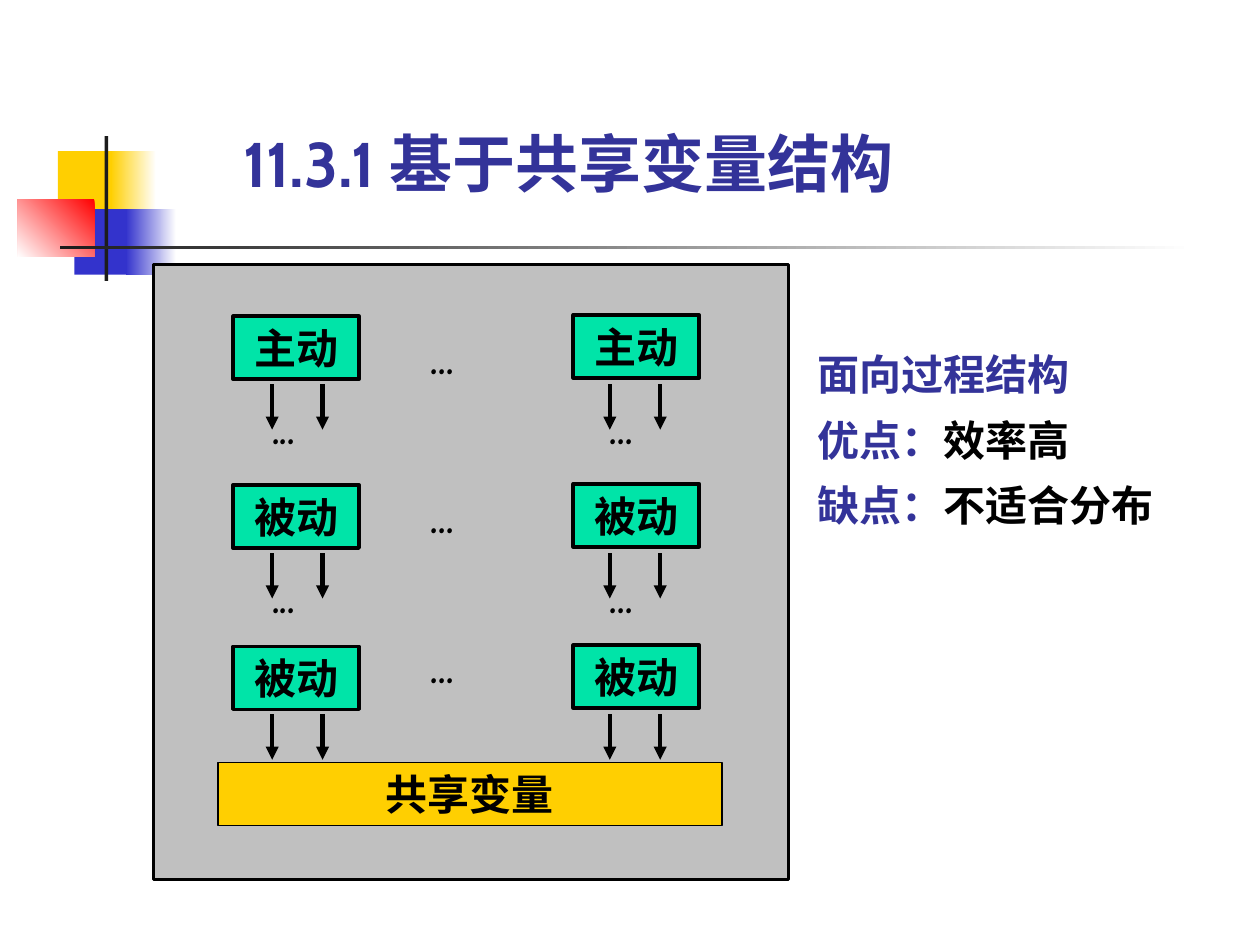
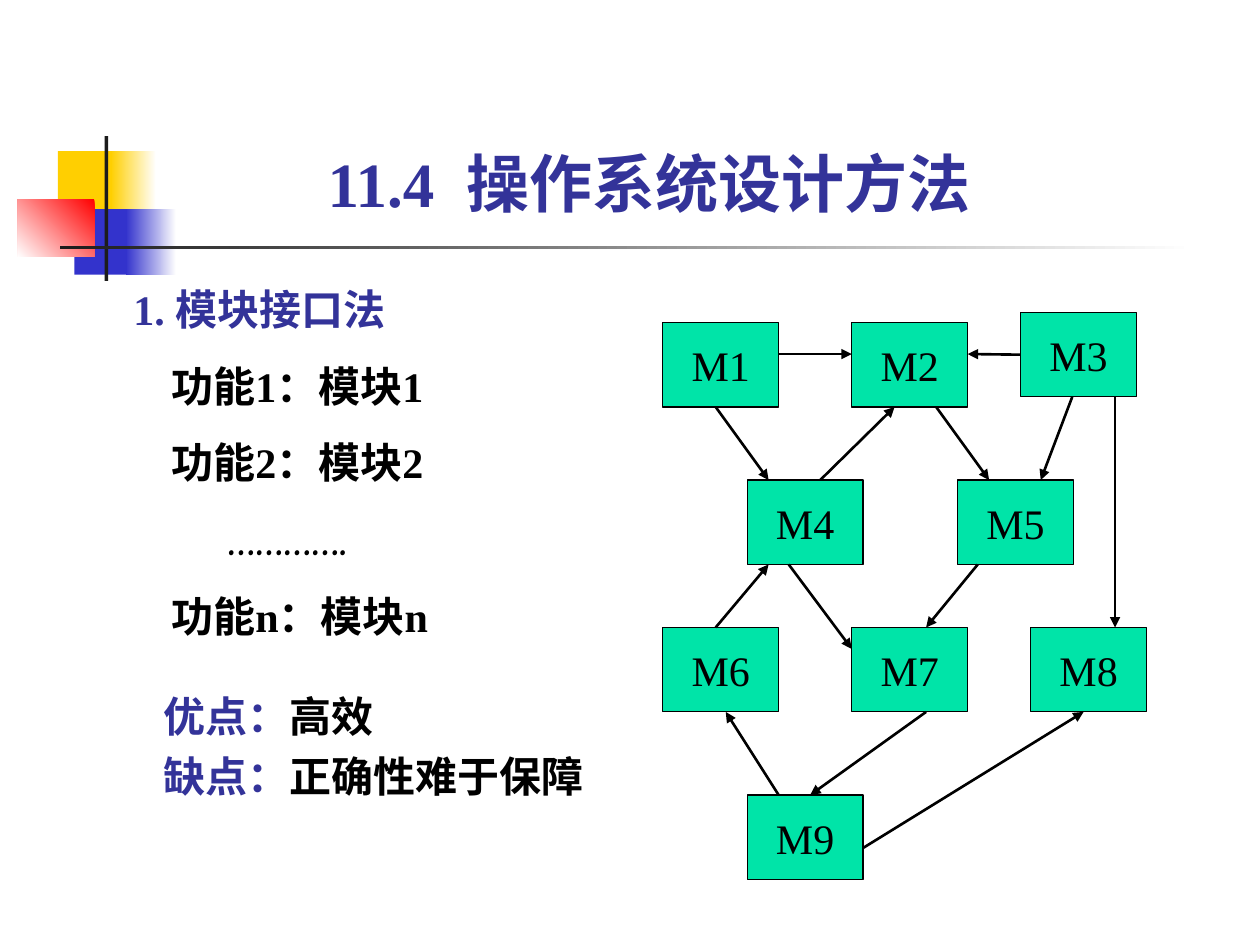
from lxml.etree import SubElement
from pptx import Presentation
from pptx.dml.color import RGBColor
from pptx.enum.shapes import MSO_CONNECTOR as Connector, MSO_SHAPE as Preset
from pptx.enum.text import MSO_ANCHOR as Anchor, PP_ALIGN as Align
from pptx.oxml.ns import qn
from pptx.util import Inches, Pt

NAVY, BLACK, WHITE = "333399", "000000", "FFFFFF"
GOLD, BLUE, RED, INK = "FFCF01", "3333CC", "FF0000", "1C1C1C"
MINT, SILVER = "00E4A8", "C0C0C0"
SERIF, TITLE_FONT, DOT_FONT = "Times New Roman", "Cabin", "Comic Neue"
BODY = {"size": Pt(24), "name": SERIF, "bold": True}
LEFT_MIDDLE = 1


def rgb(code):
    """Turn a hex string into a colour."""
    return RGBColor.from_string(code)


def apply(target, values):
    """Set each attribute of the target from a dict."""
    for name, value in values.items():
        setattr(target, name, value)


def inches(*lengths):
    """Convert several lengths to inches."""
    return [Inches(length) for length in lengths]


def write(frame, lines, font=BODY, margins=(0, 0), anchor=Anchor.TOP, wrap=True):
    """Fill a frame with (runs, paragraph format) lines; a run is text, colour and font changes."""
    across, down = inches(*margins)
    apply(frame, {"margin_left": across, "margin_right": across, "margin_top": down,
                  "margin_bottom": down, "vertical_anchor": anchor, "word_wrap": wrap})
    for index, (runs, layout) in enumerate(lines):
        paragraph = frame.add_paragraph() if index else frame.paragraphs[0]
        apply(paragraph, layout)
        for words, color, *changes in runs:
            run = paragraph.add_run()
            run.text = words
            apply(run.font, {**font, **(changes[0] if changes else {})})
            run.font.color.rgb = rgb(color)


def add_text(slide, box, lines, **options):
    """Add a text box."""
    write(slide.shapes.add_textbox(*inches(*box)).text_frame, lines, **options)


def add_block(slide, box, fill, border=0, label=None, bold=True, wrap=True):
    """Add a rectangle with an optional border and centred label."""
    block = slide.shapes.add_shape(Preset.RECTANGLE, *inches(*box))
    block.shadow.inherit = False
    block.fill.solid()
    block.fill.fore_color.rgb = rgb(fill)
    if border:
        block.line.color.rgb = rgb(BLACK)
        block.line.width = Pt(border)
    else:
        block.line.fill.background()
    if label:
        write(block.text_frame, [([(label, BLACK)], {"alignment": Align.CENTER})],
              font={**BODY, "bold": bold}, margins=(0.1, 0.05), anchor=Anchor.MIDDLE, wrap=wrap)
    return block


def add_fade(slide, box, start, end, angle=180):
    """Add a borderless rectangle with a two-colour gradient."""
    fade = add_block(slide, box, start)
    fade.fill.gradient()
    fade.fill.gradient_angle = angle
    for stop, color in zip(fade.fill.gradient_stops, (start, end)):
        stop.color.rgb = rgb(color)


def add_arrow(slide, start, end, width):
    """Add a straight black arrow."""
    arrow = slide.shapes.add_connector(Connector.STRAIGHT, *inches(*start, *end))
    arrow.line.color.rgb = rgb(BLACK)
    arrow.line.width = Pt(width)
    SubElement(arrow.line._get_or_add_ln(), qn("a:tailEnd"), type="triangle")
    SubElement(arrow._element.spPr, qn("a:effectLst"))
    return arrow


def add_emblem(slide, left, top):
    """Draw the coloured squares and crossed bars beside the title."""
    add_block(slide, (left + 0.32, top + 0.12, 0.48, 0.52), GOLD)
    add_fade(slide, (left + 0.74, top + 0.12, 0.36, 0.52), WHITE, GOLD)
    add_block(slide, (left + 0.45, top + 0.58, 0.46, 0.52), BLUE)
    add_fade(slide, (left + 0.86, top + 0.58, 0.4, 0.52), WHITE, BLUE)
    add_fade(slide, (left, top + 0.5, 0.61, 0.46), RED, WHITE, angle=225)
    add_block(slide, (left + 0.69, top, 0.03, 1.15), INK)
    add_fade(slide, (left + 0.34, top + 0.87, 9, 0.03), WHITE, INK)


def start_slide(deck, title, box, font, anchor, alignment):
    """Add a blank slide with the emblem and a title."""
    slide = deck.slides.add_slide(deck.slide_layouts[6])
    add_emblem(slide, 0.14, 1.08)
    add_text(slide, box, [([(title, NAVY)], {"alignment": alignment})],
             font={**BODY, "size": Pt(36), "name": font}, anchor=anchor)
    return slide


def add_dots(slide, left, top):
    """Add an ellipsis that stands for further processes."""
    add_text(slide, (left, top, 0.55, 0.32), [([("...", BLACK)], {"line_spacing": 0.8})],
             font={**BODY, "name": DOT_FONT})


def add_shared_variable_panel(slide, left, top, width, height):
    """Draw process columns that call down to the shared variables."""
    add_block(slide, (left, top, width, height), SILVER, 1.5)
    add_block(slide, (left + 0.51, top + 3.95, 4, 0.5), GOLD, 0.75, "共享变量")
    columns = [(left + 0.63, 0.01, 0.31), (left + 3.33, 0, 0.29)]
    levels = [("主动", 0.4, 0.22), ("被动", 1.74, 0.14), ("被动", 3.02, 0.05)]
    for level, (process, drop, dots_drop) in enumerate(levels):
        row = top + drop
        add_dots(slide, left + 2.2, row + dots_drop)
        for column, shift, call_offset in columns:
            add_block(slide, (column, row + shift, 1, 0.5), MINT, 2, process)
            call = column + call_offset
            for x in (call, call + 0.4):
                add_arrow(slide, (x, row + 0.55), (x, row + 0.91), 2.5)
            if level < len(levels) - 1:
                add_dots(slide, call, row + 0.77)


def add_verdict(slide, box, heading, strength, weakness, spacing):
    """List an optional heading, the strength and the weakness."""
    rows = [[(heading, NAVY)]] if heading else []
    rows += [[("优点：", NAVY), (strength, BLACK)], [("缺点：", NAVY), (weakness, BLACK)]]
    add_text(slide, box, [(runs, {"line_spacing": spacing}) for runs in rows])


def add_function_list(slide, box):
    """List how each function maps to one module."""
    lines = [([("1. 模块接口法", NAVY)], {})]
    entries = [("功能1：模块1", SERIF, 0.3), ("功能2：模块2", SERIF, 0.3),
               ("………….", DOT_FONT, 0.75), ("功能n：模块n", SERIF, 0.3)]
    for words, face, indent in entries:
        lines.append(([(words, BLACK, {"name": face})], {"space_before": Pt(15)}))
    add_text(slide, box, lines)
    paragraphs = slide.shapes[-1].text_frame.paragraphs[1:]
    for paragraph, (_, _, indent) in zip(paragraphs, entries):
        paragraph._p.get_or_add_pPr().set("marL", str(Inches(indent)))


def add_module_graph(slide, left, top):
    """Draw the modules and the calls between them."""
    wide, high = 0.92, 0.67
    places = {"M1": (0, 0.08), "M2": (1.5, 0.08), "M3": (2.84, 0),
              "M4": (0.67, 1.33), "M5": (2.34, 1.33),
              "M6": (0, 2.5), "M7": (1.5, 2.5), "M8": (2.92, 2.5), "M9": (0.67, 3.83)}
    calls = [("M1", "bottom", 0.42, "M4", "top", 0.17), ("M4", "top", 0.58, "M2", "bottom", 0.34),
             ("M2", "bottom", 0.67, "M5", "top", 0.25), ("M5", "bottom", 0.16, "M7", "top", 0.59),
             ("M6", "top", 0.42, "M4", "bottom", 0.17), ("M3", "bottom", 0.41, "M5", "top", 0.66),
             ("M3", "bottom", 0.75, "M8", "top", 0.67), ("M4", "bottom", 0.33, "M7", "left", 0.17),
             ("M7", "bottom", 0.59, "M9", "top", 0.5), ("M9", "top", 0.25, "M6", "bottom", 0.5),
             ("M9", "right", 0.42, "M8", "bottom", 0.42), ("M1", "right", 0.25, "M2", "left", 0.25)]

    def port(module, side, along):
        """Find the point at a distance along one side of a module."""
        x, y = places[module]
        dx, dy = {"top": (along, 0), "bottom": (along, high),
                  "left": (0, along), "right": (wide, along)}[side]
        return left + x + dx, top + y + dy

    modules = {name: add_block(slide, (left + x, top + y, wide, high), MINT, 0.75, name,
                               bold=False, wrap=False)
               for name, (x, y) in places.items()}
    for caller, exit_side, exit_at, callee, entry_side, entry_at in calls:
        add_arrow(slide, port(caller, exit_side, exit_at), port(callee, entry_side, entry_at), 1.5)
    level_call = add_arrow(slide, port("M3", "left", high / 2), port("M2", "right", 0.25), 1.5)
    level_call.begin_connect(modules["M3"], LEFT_MIDDLE)


def build_shared_variable_slide(deck):
    """Build the slide on the shared variable structure."""
    slide = start_slide(deck, "11.3.1 基于共享变量结构", (1.93, 0.99, 6.14, 0.6),
                        TITLE_FONT, Anchor.BOTTOM, Align.LEFT)
    add_shared_variable_panel(slide, 1.22, 2.1, 5.04, 4.88)
    add_verdict(slide, (6.49, 2.65, 2.92, 1.56), "面向过程结构", "效率高", "不适合分布", 1.3)


def build_design_method_slide(deck):
    """Build the slide on the module interface method."""
    slide = start_slide(deck, "11.4  操作系统设计方法", (2.16, 1.15, 5.98, 0.6),
                        SERIF, Anchor.MIDDLE, Align.CENTER)
    add_function_list(slide, (1.06, 2.25, 3.5, 2.83))
    add_verdict(slide, (1.3, 5.4, 3.54, 0.96), None, "高效", "正确性难于保障", 1.2)
    add_module_graph(slide, 5.26, 2.48)


def main():
    """Build and save the deck."""
    deck = Presentation()
    apply(deck, {"slide_width": Inches(10), "slide_height": Inches(7.5)})
    build_shared_variable_slide(deck)
    build_design_method_slide(deck)
    deck.save("out.pptx")


if __name__ == "__main__":
    main()
